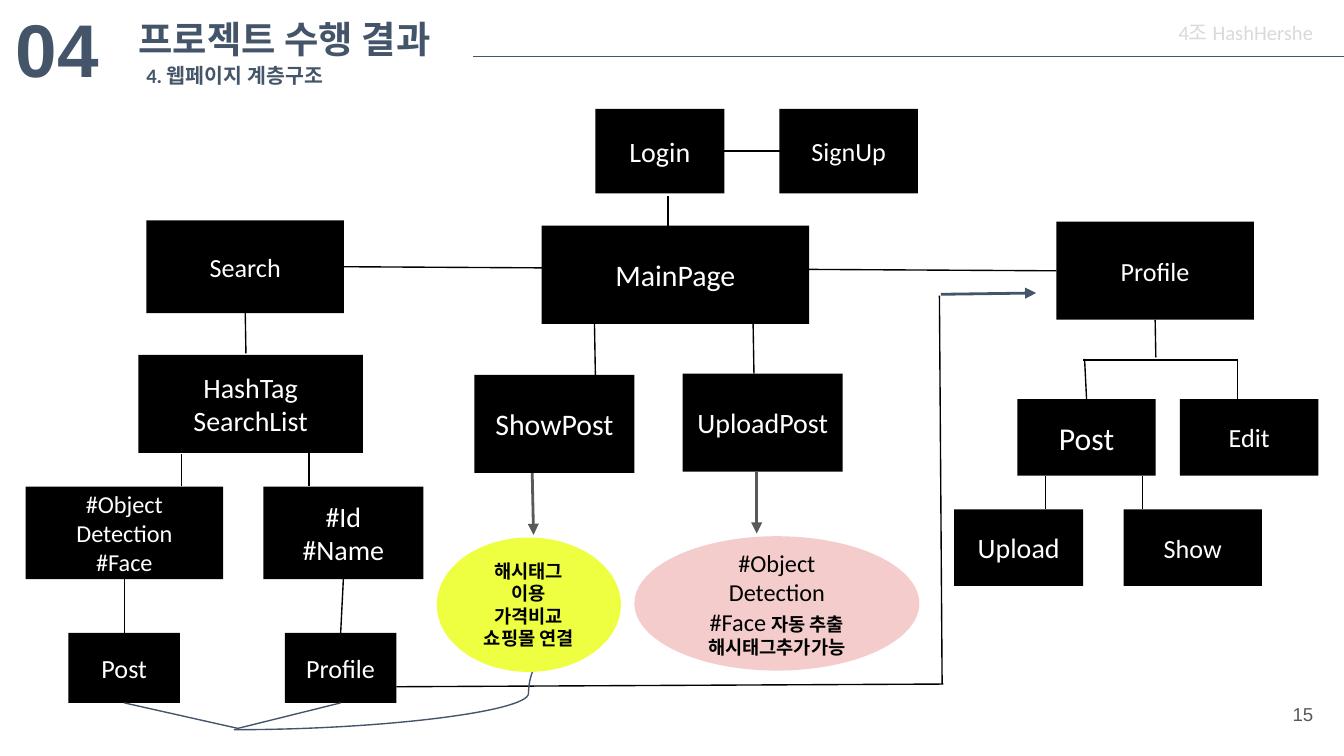
"""Build the web page hierarchy slide of a project report."""
from lxml.etree import SubElement
from pptx import Presentation
from pptx.dml.color import RGBColor
from pptx.enum.shapes import MSO_CONNECTOR, MSO_SHAPE
from pptx.enum.text import MSO_ANCHOR, MSO_AUTO_SIZE, PP_ALIGN
from pptx.oxml.ns import qn
from pptx.util import Inches, Pt

BLACK = RGBColor(0x00, 0x00, 0x00)
WHITE = RGBColor(0xFF, 0xFF, 0xFF)
NAVY = RGBColor(0x44, 0x55, 0x69)
SLATE = RGBColor(0x44, 0x54, 0x6A)
GRAY = RGBColor(0x59, 0x59, 0x59)
PALE = RGBColor(0xD9, 0xD9, 0xD9)
LIME = RGBColor(0xEE, 0xFF, 0x41)
PINK = RGBColor(0xF4, 0xCC, 0xCC)

presentation = Presentation()
presentation.slide_width, presentation.slide_height = Inches(10), Inches(5.625)
CELL = presentation.slide_width / 100
slide = presentation.slides.add_slide(presentation.slide_layouts[5])
shapes = slide.shapes


def write(shape, text, *, size, color=BLACK, font="Calibri", bold=False,
          align=PP_ALIGN.CENTER, anchor=MSO_ANCHOR.MIDDLE, inset=0.05, continued=False):
    frame = shape.text_frame
    frame.word_wrap, frame.auto_size = True, MSO_AUTO_SIZE.NONE
    frame.vertical_anchor = anchor
    frame.margin_left = frame.margin_right = Inches(0.1)
    frame.margin_top = frame.margin_bottom = Inches(inset)
    for index, line in enumerate(text.split("\n")):
        same_line = not frame.text or (continued and index == 0)
        paragraph = frame.paragraphs[-1] if same_line else frame.add_paragraph()
        paragraph.alignment = align
        run = paragraph.add_run()
        run.text = line
        run.font.name, run.font.size, run.font.bold = font, Pt(size), bold
        run.font.color.rgb = color


def place(kind, fill, *cells):
    shape = shapes.add_shape(kind, *(int(cell * CELL) for cell in cells))
    shape.shadow.inherit = False
    shape.fill.solid()
    shape.fill.fore_color.rgb = fill
    shape.line.fill.background()
    return shape


pages = {}
for page, label, size, *cells in [
    ("login", "Login", 15, 44.3, 8.1, 9.6, 6.3),
    ("signup", "SignUp", 14, 58, 8.1, 10.3, 6.3),
    ("search", "Search", 14, 10.9, 16.4, 14.7, 6.9),
    ("profile", "Profile", 14, 78.6, 16.5, 14.7, 7.3),
    ("search list", "HashTag\nSearchList", 15, 10.3, 26.4, 16.7, 7.3),
    ("show post", "ShowPost", 16, 35.3, 27.9, 11.9, 7.3),
    ("upload post", "UploadPost", 15, 50.8, 27.8, 11.9, 7.3),
    ("my post", "Post", 17, 75.7, 29.7, 10.3, 5.7),
    ("edit", "Edit", 14, 87.8, 29.7, 10.3, 5.7),
    ("upload", "Upload", 15, 71, 37.9, 9.6, 5.7),
    ("show", "Show", 14, 83.6, 37.9, 10.3, 5.7),
    ("detection", "#Object Detection\n#Face", 13, 1.9, 36.2, 14.7, 6.9),
    ("id", "#Id\n#Name", 15, 19.6, 36.2, 11.9, 6.9),
    ("found post", "Post", 14, 5.1, 47.1, 8.3, 5.2),
    ("found profile", "Profile", 14, 21.2, 47.1, 8.3, 5.2),
]:
    pages[page] = place(MSO_SHAPE.RECTANGLE, BLACK, *cells)
    write(pages[page], label, size=size, color=WHITE)

merge = (17.7, 54.2)
for start, end, color, width, arrow in [
    (("search", 3), ("profile", 1), BLACK, 0.75, False),
    (("login", 3), ("signup", 1), BLACK, 0.75, False),
    ((49.7, 14.6), (49.7, 17.2), BLACK, 0.75, False),
    (("search", 2), (18.3, 26.3), BLACK, 0.75, False),
    ((13.5, 33.8), (13.5, 36.2), BLACK, 0.75, False),
    ((23, 33.7), (23, 36.2), BLACK, 0.75, False),
    (("detection", 2), ("found post", 0), BLACK, 0.75, False),
    (("id", 2), ("found profile", 0), BLACK, 0.75, False),
    ((44.2, 22.1), (44.3, 27.9), BLACK, 0.75, False),
    ((56, 22.1), (56.1, 27.8), BLACK, 0.75, False),
    (("profile", 2), (86, 26.6), BLACK, 0.75, False),
    ((80.6, 26.8), (92.1, 26.8), BLACK, 0.75, False),
    ((80.7, 26.7), ("my post", 0), BLACK, 0.75, False),
    ((92.1, 26.8), (92.1, 29.7), BLACK, 0.75, False),
    ((77.8, 35.4), (77.8, 37.9), BLACK, 0.75, False),
    ((85, 35.4), (85, 37.9), BLACK, 0.75, False),
    ((29.5, 51.1), (70.2, 50.9), BLACK, 0.75, False),
    ((69.9, 22), (70.1, 50.9), BLACK, 0.75, False),
    ((70, 21.9), (77.1, 21.8), SLATE, 1.5, True),
    ((39.6, 35.2), (39.7, 39.8), GRAY, 1.5, True),
    ((56.3, 35.1), (56.3, 39.7), GRAY, 1.5, True),
    (("found post", 2), merge, SLATE, 0.75, False),
    (("found profile", 2), merge, SLATE, 0.75, False),
    ((17.4, 54.3), (40.6, 48.9), SLATE, 0.75, False),
    ((35.2, 4.2), (100, 4.2), NAVY, 0.75, False),
]:
    curved = start == (17.4, 54.3)
    kind = MSO_CONNECTOR.CURVE if curved else MSO_CONNECTOR.STRAIGHT
    points = [(0, 0) if site[0] in pages else site for site in (start, end)]
    link = shapes.add_connector(kind, *(int(cell * CELL) for point in points for cell in point))
    if start[0] in pages:
        link.begin_connect(pages[start[0]], start[1])
    if end[0] in pages:
        link.end_connect(pages[end[0]], end[1])
    link.line.color.rgb, link.line.width = color, Pt(width)
    properties = link._element.spPr
    SubElement(properties, qn("a:effectLst"))
    if arrow:
        SubElement(properties.find(qn("a:ln")), qn("a:tailEnd"), type="triangle")
    if curved:
        bends = properties.find(qn("a:prstGeom")).find(qn("a:avLst"))
        SubElement(bends, qn("a:gd"), name="adj1", fmla="val 94500")

main_page = place(MSO_SHAPE.RECTANGLE, BLACK, 40.3, 16.8, 19.9, 7.3)
write(main_page, "MainPage", size=16, color=WHITE)

price_note = place(MSO_SHAPE.OVAL, LIME, 32.5, 40, 13.7, 10)
write(price_note, "해시태그\n이용\n가격비교\n쇼핑몰 연결", size=10, font="Arial", bold=True, inset=0.1)

tag_note = place(MSO_SHAPE.OVAL, PINK, 47.2, 39.9, 21.2, 10)
write(tag_note, "#Object Detection\n#Face", size=13, inset=0.1)
write(tag_note, " 자동 추출\n해시태그추가가능", size=10, font="Arial", bold=True, inset=0.1, continued=True)

title = shapes.title
title.left, title.top, title.width, title.height = (
    int(cell * CELL) for cell in (9.3, 0.7, 26.4, 4.4))
write(title, "프로젝트 수행 결과", size=20, color=NAVY, bold=True,
      align=PP_ALIGN.LEFT, anchor=MSO_ANCHOR.TOP)

for text, cells, style in [
    ("04", (0.2, -0.3, 12.7, 7.7),
     dict(size=40, color=NAVY, font="Arial", bold=True, align=PP_ALIGN.LEFT, anchor=MSO_ANCHOR.TOP)),
    ("4. 웹페이지 계층구조", (9.9, 4.2, 42.1, 2.9),
     dict(size=11, color=NAVY, bold=True, align=PP_ALIGN.LEFT, anchor=MSO_ANCHOR.TOP)),
    ("4조 HashHershe", (84.1, 0.5, 14.6, 3.9),
     dict(size=11, color=PALE, align=PP_ALIGN.RIGHT, anchor=MSO_ANCHOR.TOP, inset=0.1)),
    ("15", (92.7, 51, 6, 4.3),
     dict(size=10, color=GRAY, font="Arial", align=PP_ALIGN.RIGHT, inset=0.1)),
]:
    write(shapes.add_textbox(*(int(cell * CELL) for cell in cells)), text, **style)

presentation.save("out.pptx")
